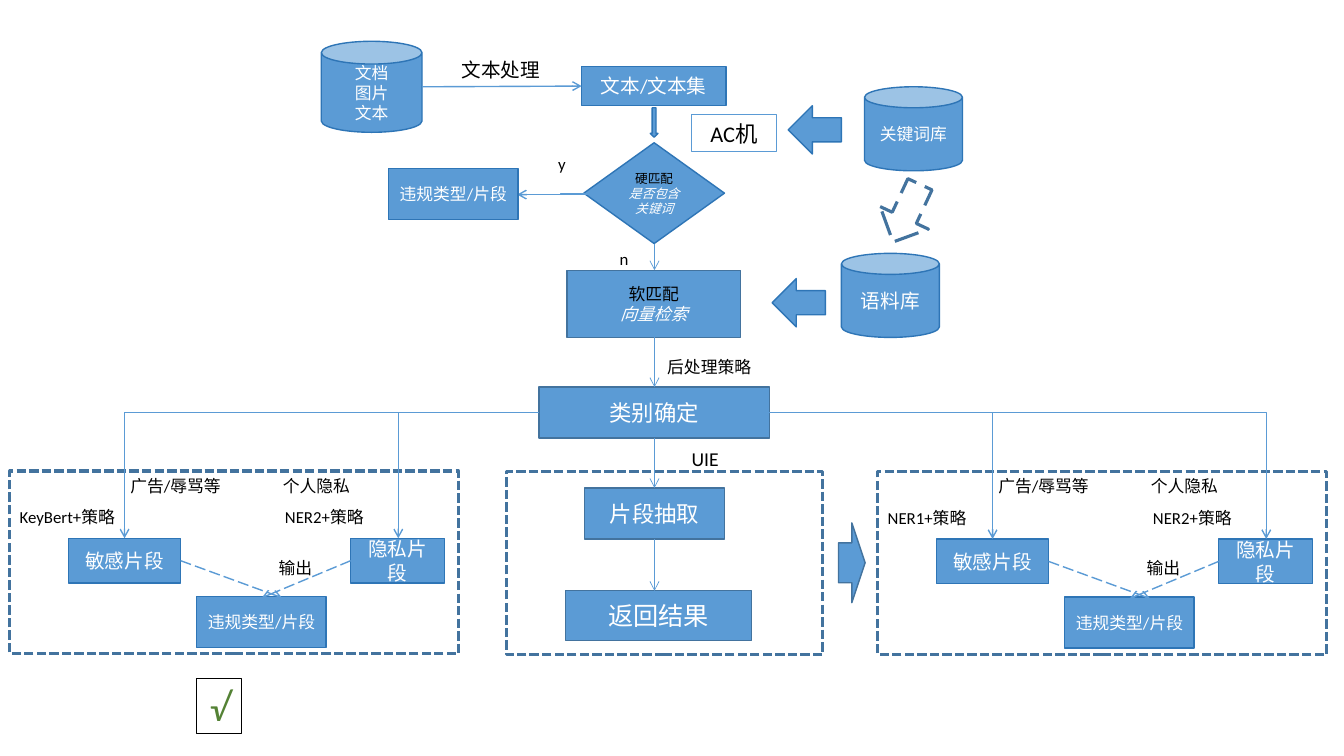
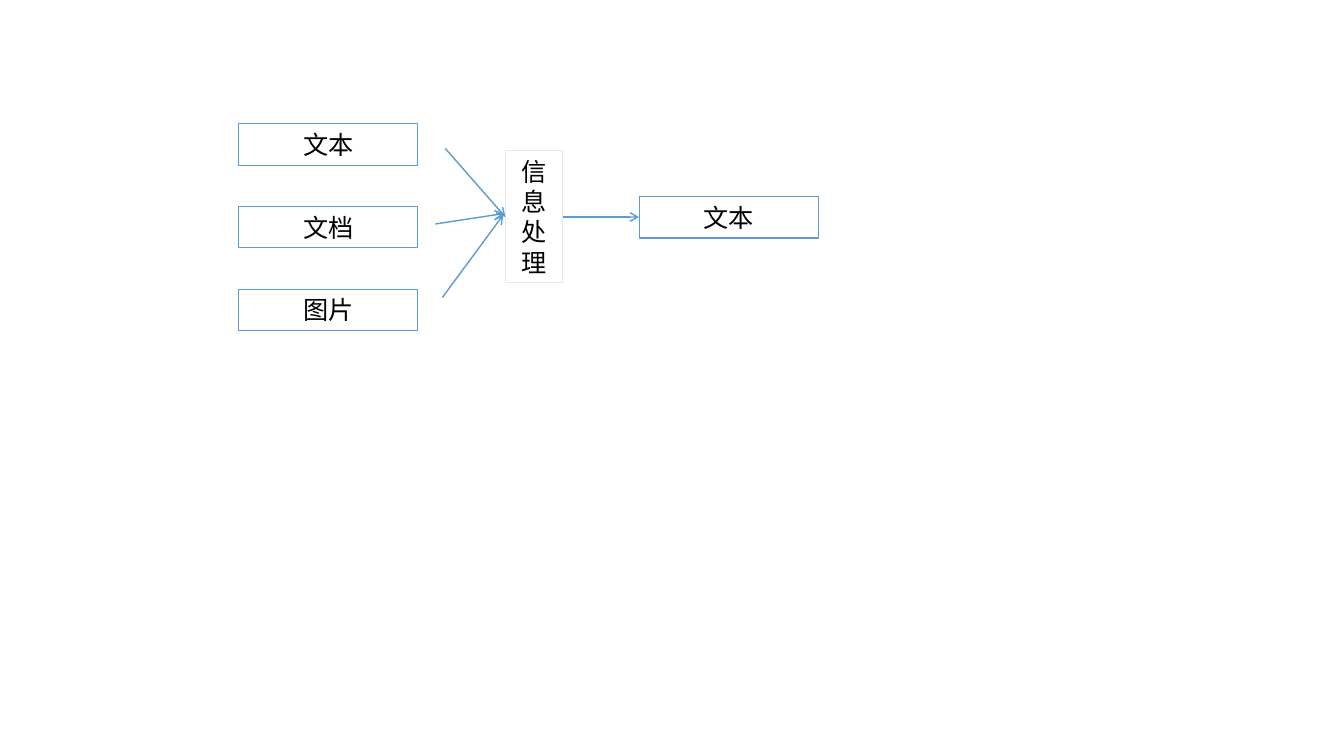
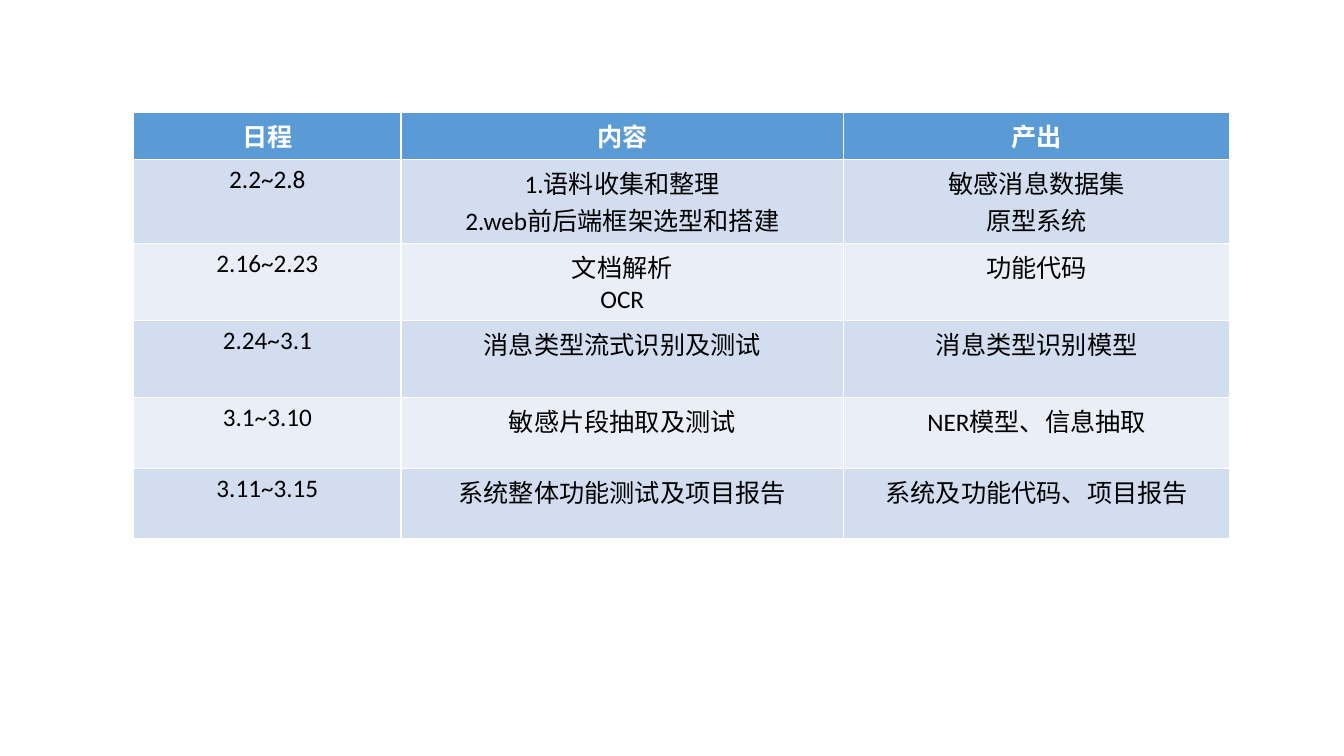
"""Build a three-slide deck: detection flow, text input flow and schedule."""
from pptx import Presentation
from pptx.dml.color import RGBColor
from pptx.enum.dml import MSO_LINE
from pptx.enum.shapes import MSO_CONNECTOR, MSO_SHAPE
from pptx.enum.text import MSO_ANCHOR, PP_ALIGN
from pptx.oxml.ns import qn
from pptx.util import Pt
from lxml.etree import SubElement

BLUE = RGBColor(0x5B, 0x9B, 0xD5)
EDGE = RGBColor(0x2E, 0x75, 0xB6)
DARK = RGBColor(0x43, 0x73, 0x9E)
WHITE = RGBColor(0xFF, 0xFF, 0xFF)
BLACK = RGBColor(0, 0, 0)
GREY = RGBColor(0xE7, 0xE6, 0xE6)
GREEN = RGBColor(0x54, 0x82, 0x35)
BAND_DARK = RGBColor(0xD2, 0xDE, 0xEF)
BAND_LIGHT = RGBColor(0xEA, 0xEF, 0xF7)
FONT = "Calibri"


def box(s, x, y, w, h, text="", size=12, shape=MSO_SHAPE.RECTANGLE,
        fill=BLUE, line=EDGE, weight=1, dash=None):
    """Add a shape, or a plain left-aligned label when shape is None."""
    at = Pt(x), Pt(y), Pt(w), Pt(h)
    if shape is None:
        sp = s.shapes.add_textbox(*at)
        fill = None
    else:
        sp = s.shapes.add_shape(shape, *at)
        sp.shadow.inherit = False
        sp.line.color.rgb = line
        sp.line.width = Pt(weight)
        sp.line.dash_style = dash
        if fill is None:
            sp.fill.background()
        else:
            sp.fill.solid()
            sp.fill.fore_color.rgb = fill
    tf = sp.text_frame
    tf.word_wrap = True
    tf.vertical_anchor = MSO_ANCHOR.TOP if shape is None else MSO_ANCHOR.MIDDLE
    if text:
        tf.text = text
        for p in tf.paragraphs:
            p.alignment = PP_ALIGN.LEFT if shape is None else PP_ALIGN.CENTER
            p.font.name = FONT
            p.font.size = Pt(size)
            p.font.color.rgb = BLACK if fill is None else WHITE
    return sp


def arrow(s, x1, y1, x2, y2, weight=1, kind=MSO_CONNECTOR.STRAIGHT, dash=None):
    """Add a connector with an open arrowhead at its end."""
    c = s.shapes.add_connector(kind, Pt(x1), Pt(y1), Pt(x2), Pt(y2))
    c.line.color.rgb = BLUE
    c.line.width = Pt(weight)
    c.line.dash_style = dash
    SubElement(c.line._get_or_add_ln(), qn("a:tailEnd"), type="arrow")
    SubElement(c._element.spPr, qn("a:effectLst"))
    return c


prs = Presentation()
prs.slide_width, prs.slide_height = Pt(960), Pt(540)
blank = prs.slide_layouts[6]

s = prs.slides.add_slide(blank)
box(s, 361.5, 337, 226, 130.5, fill=None, line=DARK, weight=2.25, dash=MSO_LINE.SQUARE_DOT)
box(s, 229.5, 29.5, 72, 65, "文档\n图片\n文本", shape=MSO_SHAPE.CAN)
box(s, 415.5, 47.5, 103, 28, "文本/文本集", 14)
arrow(s, 301.5, 62, 415.5, 61.5)
box(s, 464.5, 77, 5.5, 21, shape=MSO_SHAPE.DOWN_ARROW)
hard = box(s, 417, 102, 100.5, 72, "硬匹配\n是否包含关键词", 9, MSO_SHAPE.DIAMOND)
box(s, 494, 82, 60.5, 26.5, "AC机", 16, fill=None, line=BLUE, weight=0.75)
box(s, 617.5, 62, 70, 60, "关键词库", shape=MSO_SHAPE.CAN)
box(s, 563, 75.5, 38, 34.5, shape=MSO_SHAPE.LEFT_ARROW)
arrow(s, 431, 138.5, 369.5, 139, kind=MSO_CONNECTOR.ELBOW)
box(s, 277.5, 120.5, 92.5, 36.5, "违规类型/片段")
soft = box(s, 405, 193, 124, 48, "软匹配\n向量检索", line=DARK)
box(s, 601, 181, 70, 60, "语料库", 14, MSO_SHAPE.CAN)
box(s, 551.5, 199, 38, 34.5, shape=MSO_SHAPE.LEFT_ARROW)
box(s, 385, 276.5, 164.5, 36.5, "类别确定", 16, line=DARK)
box(s, 417.5, 348.5, 100, 36.5, "片段抽取", 16, line=DARK)
box(s, 404, 422, 133, 35.5, "返回结果", 18, line=DARK)
for sp in (hard, soft):
    first, second = sp.text_frame.paragraphs
    first.font.color.rgb = BLACK
    second.font.italic = True

for top, bottom in ((174, 193), (241, 276.5), (313, 348.5), (385, 422)):
    arrow(s, 467.5, top, 467.5, bottom, 0.5)
for x, y, w, text, size in (
        (322.5, 38, 73.5, "文本处理", 14), (391.5, 106, 29, "y", 12),
        (435.5, 174, 29, "n", 12), (469.5, 251.5, 109, "后处理策略", 12),
        (487, 316, 50, "UIE", 14)):
    box(s, x, y, w, 22, text, size, None)

for dx, dy, start, strategy in ((0, 0, 385, "KeyBert+策略"), (620, 0.5, 549.5, "NER1+策略")):
    box(s, dx + 49, dy + 384.5, 80, 32, "敏感片段", 14)
    box(s, dx + 250.5, dy + 384.5, 67, 32, "隐私片段", 14)
    box(s, dx + 140.5, dy + 426, 92.5, 36.5, "违规类型/片段")
    for x, y, w, text in ((7, 358.5, 85, strategy), (196.5, 358.5, 81, "NER2+策略"),
                          (192, 394.5, 50, "输出"), (86, 336, 88, "广告/辱骂等"),
                          (195, 336, 88, "个人隐私")):
        box(s, dx + x, dy + y, w, 22, text, shape=None)
    for x1, x2 in ((129, 201.5), (250.5, 187)):
        arrow(s, dx + x1, dy + 400.5, dx + x2, dy + 427, dash=MSO_LINE.LONG_DASH)
    box(s, dx + 7, dy + 336.5, 320.5, 130.5, fill=None, line=DARK, weight=2.25,
        dash=MSO_LINE.SQUARE_DOT)
    for x in (89, 284.5):
        c = arrow(s, start, 294.5, dx + x, dy + 384.5, kind=MSO_CONNECTOR.ELBOW)
        c._element.spPr.find(qn("a:prstGeom")).set("prst", "bentConnector2")

box(s, 599, 373.5, 19, 57, shape=MSO_SHAPE.RIGHT_ARROW, line=DARK)
check = box(s, 140.5, 484.5, 32, 39.5, "√", 28, fill=None, line=BLACK, weight=0.75)
check.text_frame.paragraphs[0].font.color.rgb = GREEN
check.text_frame.paragraphs[0].font.italic = True
link = box(s, 628.5, 129.5, 38, 45.5, shape=MSO_SHAPE.DOWN_ARROW, fill=WHITE, line=DARK,
           weight=2.25, dash=MSO_LINE.LONG_DASH)
link.rotation = 25

s = prs.slides.add_slide(blank)
for x, y, w, h, text, line in (
        (170.5, 88.5, 128, 29.5, "文本", BLUE), (170.5, 147.5, 128, 29.5, "文档", BLUE),
        (170.5, 206.5, 128, 29.5, "图片", BLUE), (361, 107.5, 41, 94.5, "信息处理", GREY),
        (456.5, 140.5, 128, 29.5, "文本", BLUE)):
    box(s, x, y, w, h, text, 18, fill=None, line=line, weight=0.75)
for ends in ((318, 106, 361, 155), (311, 160, 360, 152.5),
             (316, 212.5, 359.5, 153.5), (402, 155, 456.5, 155)):
    arrow(s, *ends)

s = prs.slides.add_slide(blank)
rows = (
    ("日程", "内容", "产出"),
    ("2.2~2.8", "1.语料收集和整理\n2.web前后端框架选型和搭建", "敏感消息数据集\n原型系统"),
    ("2.16~2.23", "文档解析\nOCR", "功能代码"),
    ("2.24~3.1", "消息类型流式识别及测试", "消息类型识别模型"),
    ("3.1~3.10", "敏感片段抽取及测试", "NER模型、信息抽取"),
    ("3.11~3.15", "系统整体功能测试及项目报告", "系统及功能代码、项目报告"),
)
heights = (32, 60, 55, 55, 50.5, 50.5)
table = s.shapes.add_table(len(rows), 3, Pt(95.5), Pt(80.5), Pt(783), Pt(sum(heights))).table
for col, width in zip(table.columns, (191, 316, 276)):
    col.width = Pt(width)
for i, (row, height) in enumerate(zip(rows, heights)):
    table.rows[i].height = Pt(height)
    for j, text in enumerate(row):
        cell = table.cell(i, j)
        cell.fill.solid()
        cell.fill.fore_color.rgb = BLUE if i == 0 else BAND_DARK if i % 2 else BAND_LIGHT
        cell.text_frame.text = text
        for p in cell.text_frame.paragraphs:
            p.alignment = PP_ALIGN.CENTER
            p.font.name = FONT
            p.font.size = Pt(18)
            p.font.bold = i == 0
            p.font.color.rgb = BLACK if i else WHITE

prs.save("out.pptx")
